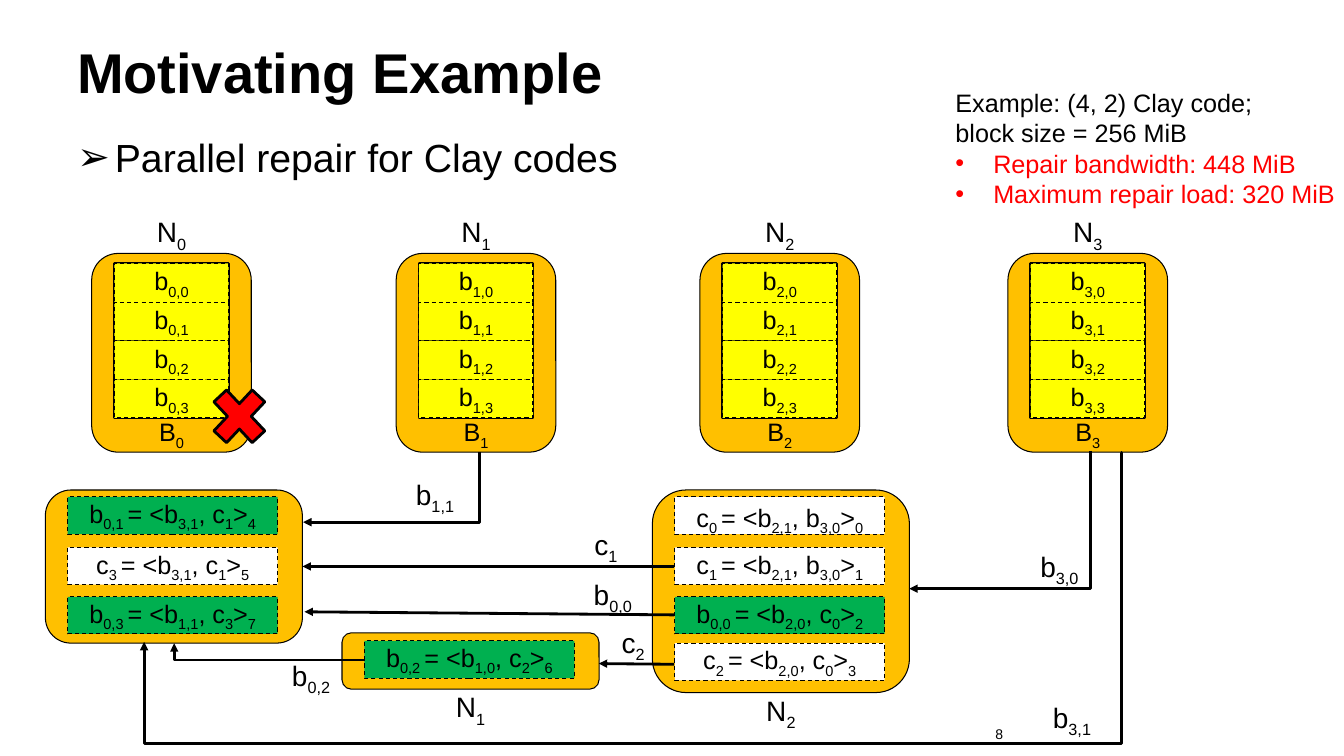
from lxml import etree
from pptx import Presentation
from pptx.dml.color import RGBColor
from pptx.enum.dml import MSO_LINE
from pptx.enum.shapes import MSO_CONNECTOR, MSO_SHAPE
from pptx.enum.text import MSO_ANCHOR, PP_ALIGN
from pptx.oxml.ns import qn
from pptx.util import Pt

RECT, ROUND, CROSS = MSO_SHAPE.RECTANGLE, MSO_SHAPE.ROUNDED_RECTANGLE, MSO_SHAPE.MATH_MULTIPLY
STRAIGHT, ELBOW = MSO_CONNECTOR.STRAIGHT, MSO_CONNECTOR.ELBOW
TOP, MIDDLE = MSO_ANCHOR.TOP, MSO_ANCHOR.MIDDLE
LEFT, CENTER, RIGHT = PP_ALIGN.LEFT, PP_ALIGN.CENTER, PP_ALIGN.RIGHT
DASH = MSO_LINE.DASH

COLORS = {
    "ink": "000000",
    "node": "FFC000",
    "block": "FFFF00",
    "repaired": "00B050",
    "plain": "FFFFFF",
    "alert": "FF0000",
}


def color(name):
    return RGBColor.from_string(COLORS[name])


def style_span(span, size, ink="ink", bold=False):
    span.font.name = "Arial"
    span.font.size = Pt(size)
    span.font.bold = bold
    span.font.color.rgb = color(ink)


def write_indexed(para, text, size):
    for position, piece in enumerate(text.split("_")):
        if piece:
            span = para.add_run()
            span.text = piece
            style_span(span, size)
            if position % 2:
                span.font._element.set("baseline", "-25000")


def add_bullet(para, mark, indent):
    properties = para._p.get_or_add_pPr()
    properties.set("marL", str(Pt(indent)))
    properties.set("indent", str(-Pt(indent)))
    etree.SubElement(properties, qn("a:buFont")).set("typeface", "Arial")
    etree.SubElement(properties, qn("a:buChar")).set("char", mark)


def add_text(page, left, top, width, height, align=LEFT, anchor=TOP):
    box = page.shapes.add_textbox(Pt(left), Pt(top), Pt(width), Pt(height))
    box.text_frame.word_wrap = True
    box.text_frame.vertical_anchor = anchor
    box.text_frame.paragraphs[0].alignment = align
    return box


def add_label(page, left, top, width, text, size=20, align=LEFT):
    box = add_text(page, left, top, width, 31.5, align)
    write_indexed(box.text_frame.paragraphs[0], text, size)


def add_block(page, kind, left, top, width, height, fill, weight=0.75, dash=None):
    block = page.shapes.add_shape(kind, Pt(left), Pt(top), Pt(width), Pt(height))
    block.shadow.inherit = False
    block.fill.solid()
    block.fill.fore_color.rgb = color(fill)
    block.line.color.rgb = color("ink")
    block.line.width = Pt(weight)
    if dash:
        block.line.dash_style = dash
    return block


def add_cell(page, left, top, width, height, fill, text, anchor=MIDDLE):
    cell = add_block(page, RECT, left, top, width, height, fill, dash=DASH)
    cell.text_frame.word_wrap = True
    cell.text_frame.vertical_anchor = anchor
    para = cell.text_frame.paragraphs[0]
    para.alignment = CENTER
    write_indexed(para, text, 18)


def add_header(page, left, top, width):
    box = add_text(page, left, top, width, 90, CENTER, MIDDLE)
    box.text_frame.text = "Motivating Example"
    style_span(box.text_frame.paragraphs[0].runs[0], 40, bold=True)

    box = add_text(page, left, top + 85.5, width, 46)
    box.text_frame.text = "Parallel repair for Clay codes"
    para = box.text_frame.paragraphs[0]
    add_bullet(para, "➢", 27)
    style_span(para.runs[0], 28)


def add_example(page, left, top, width, height):
    box = add_text(page, left, top, width, height)
    frame = box.text_frame
    frame.margin_right = 0
    frame.text = "Example: (4, 2) Clay code; \vblock size = 256 MiB"
    for span in frame.paragraphs[0].runs:
        style_span(span, 18)
    for text in ("Repair bandwidth: 448 MiB", "Maximum repair load: 320 MiB"):
        para = frame.add_paragraph()
        para.text = text
        add_bullet(para, "•", 27)
        style_span(para.runs[0], 18, "alert")


def add_node(page, index, left, top, width, height):
    add_label(page, left, top - 31, width, f"N_{index}_", align=CENTER)
    add_block(page, ROUND, left, top, width, height, "node")
    add_label(page, left, top + 113, width, f"B_{index}_", 18, CENTER)
    cell_width, cell_height = 81.5, 27.6
    cell_left, cell_top = left + (width - cell_width) / 2, top + 7.2
    add_block(page, RECT, cell_left, cell_top, cell_width, 4 * cell_height, "block", 2)
    for row in range(4):
        add_cell(page, cell_left, cell_top + row * cell_height, cell_width, cell_height,
                 "block", f"b_{index},{row}_")


def add_panel(page, left, top, height, equations, caption=None):
    width, cell_width = 183.6, 150
    add_block(page, ROUND, left, top, width, height, "node")
    for offset, fill, text, anchor in equations:
        add_cell(page, left + 16, top + offset, cell_width, 26.6, fill, text, anchor)
    if caption:
        add_label(page, left, top + height - 3, width, caption, align=CENTER)


def add_arrow(page, start, end, kind=STRAIGHT):
    arrow = page.shapes.add_connector(kind, *map(Pt, start + end))
    arrow.line.color.rgb = color("ink")
    arrow.line.width = Pt(2)
    properties = arrow._element.spPr
    tail = etree.SubElement(properties.find(qn("a:ln")), qn("a:tailEnd"))
    tail.set("type", "triangle")
    etree.SubElement(properties, qn("a:effectLst"))
    return arrow


def set_bend(arrow, preset, *adjustments):
    geometry = arrow._element.spPr.find(qn("a:prstGeom"))
    geometry.set("prst", preset)
    guides = geometry.find(qn("a:avLst"))
    for number, value in enumerate(adjustments, 1):
        guide = etree.SubElement(guides, qn("a:gd"))
        guide.set("name", f"adj{number}")
        guide.set("fmla", f"val {value}")


def add_down_left_arrow(page, start, end):
    across, down = start[0] - end[0], end[1] - start[1]
    middle_x, middle_y = (start[0] + end[0]) / 2, (start[1] + end[1]) / 2
    arrow = add_arrow(page, (middle_x - down / 2, middle_y - across / 2),
                      (middle_x + down / 2, middle_y + across / 2), ELBOW)
    set_bend(arrow, "bentConnector2")
    arrow._element.spPr.find(qn("a:xfrm")).set("rot", "5400000")


def add_transfers(page):
    add_down_left_arrow(page, (779, 322), (649.5, 420.5))
    add_down_left_arrow(page, (342.5, 323), (216.5, 373))
    for start, end in (((481.5, 474.5), (427.7, 474)), ((481.5, 439.2), (217.5, 437)),
                       ((481.5, 404.6), (216, 404.6))):
        add_arrow(page, start, end)
    set_bend(add_arrow(page, (800.5, 323), (103, 458.5), ELBOW), "bentConnector4", -100, 153800)
    set_bend(add_arrow(page, (260.5, 471.5), (124.5, 459.5), ELBOW), "bentConnector2")
    for left, top, width, text in (
            (736, 389, 61, "b_3,0_"), (745, 497, 61, "b_3,1_"), (290, 337.5, 61, "b_1,1_"),
            (417.5, 373.5, 33, "c_1_"), (417, 409, 47, "b_0,0_"), (437, 443.5, 39, "c_2_"),
            (201.5, 466.5, 47, "b_0,2_")):
        add_label(page, left, top, width, text)


def build_slide(deck):
    page = deck.slides.add_slide(deck.slide_layouts[6])
    add_header(page, 48, 6, 864)
    for index, left in enumerate((65.5, 283, 500, 720)):
        add_node(page, index, left, 181, 114, 142)
    add_block(page, CROSS, 144.7, 269.3, 52.6, 56.2, "alert", 2)
    add_panel(page, 32.4, 350, 109.4, (
        (5, "repaired", "b_0,1 _= <b_3,1_, c_1_>_4_", MIDDLE),
        (41, "plain", "c_3 _= <b_3,1_, c_1_>_5_", MIDDLE),
        (76.3, "repaired", "b_0,3 _= <b_1,1_, c_3_>_7_", MIDDLE)))
    add_panel(page, 466, 350, 144.7, (
        (5, "plain", "c_0 _= <b_2,1_, b_3,0_>_0_", TOP),
        (41, "plain", "c_1 _= <b_2,1_, b_3,0_>_1_", MIDDLE),
        (76.3, "repaired", "b_0,0 _= <b_2,0_, c_0_>_2_", MIDDLE),
        (109.4, "plain", "c_2 _= <b_2,0_, c_0_>_3_", MIDDLE)), "N_2_")
    add_panel(page, 244.3, 452, 40.3, (
        (5.8, "repaired", "b_0,2 _= <b_1,0_, c_2_>_6_", MIDDLE),), "N_1_")
    add_transfers(page)
    add_example(page, 675.4, 59, 280.8, 94.3)
    number = add_text(page, 704, 515, 224, 25, RIGHT)
    number.text_frame.text = "8"
    style_span(number.text_frame.paragraphs[0].runs[0], 10)


def main():
    deck = Presentation()
    deck.slide_width, deck.slide_height = Pt(960), Pt(540)
    build_slide(deck)
    deck.save("out.pptx")


if __name__ == "__main__":
    main()
